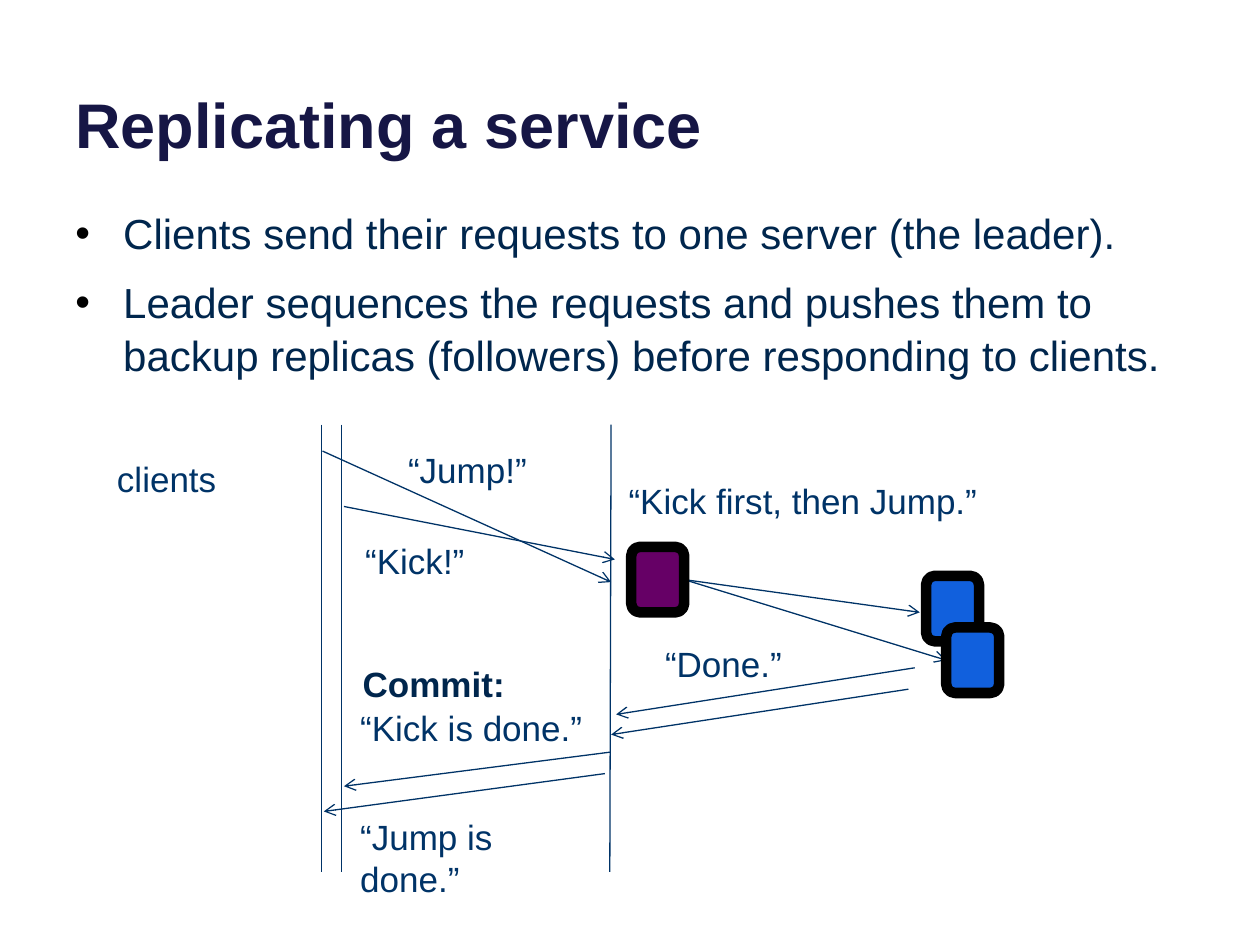
from lxml import etree
from pptx import Presentation
from pptx.dml.color import RGBColor
from pptx.enum.shapes import MSO_CONNECTOR, MSO_SHAPE
from pptx.enum.text import MSO_ANCHOR
from pptx.oxml.ns import qn
from pptx.util import Inches, Pt

FONT = "Arial"
TITLE_INK, BODY_INK, DIAGRAM_INK = "161645", "00264D", "003367"
PURPLE, BLUE, BLACK = "660066", "1160DD", "000000"

TITLE = "Replicating a service"
POINTS = [
    "Clients send their requests to one server (the leader).",
    "Leader sequences the requests and pushes them to backup replicas "
    "(followers) before responding to clients.",
]
LABEL_HEIGHT = 0.44
LABELS = [  # text, left, top, width
    ("clients", 0.83, 3.58, 1.51),
    ("“Jump!”", 3.14, 3.51, 1.34),
    ("“Kick!”", 2.8, 4.23, 1.13),
    ("“Kick first, then Jump.”", 4.89, 3.76, 3.2),
    ("“Done.”", 5.18, 5.05, 1.16),
    ("“Kick is done.”", 2.76, 5.56, 2.11),
    ("“Jump is done.”", 2.76, 6.42, 2.11),
]
COMMIT = ("Commit:", 2.78, 5.21, 1.36)

TIMELINE_TOP, TIMELINE_BOTTOM = 3.37, 6.92
TIMELINES = [(2.55, 2.55), (2.71, 2.71), (4.85, 4.84)]  # x at top, x at bottom
MESSAGES = [
    ((2.56, 3.58), (4.85, 4.62)),  # jump request
    ((2.73, 4.02), (4.88, 4.44)),  # kick request
    ((7.26, 5.3), (4.89, 5.67)),   # followers done
    ((7.21, 5.47), (4.85, 5.83)),
    ((4.84, 5.97), (2.73, 6.24)),  # kick committed
    ((4.8, 6.14), (2.57, 6.44)),   # jump committed
]
PUSHES = [((5.43, 4.6), (7.3, 4.86)), ((5.43, 4.6), (7.51, 5.26))]
SERVER_SIZE = (0.42, 0.52)
SERVERS = [  # left, top, fill: leader, back follower, front follower
    (5.01, 4.34, PURPLE),
    (7.35, 4.57, BLUE),
    (7.51, 4.98, BLUE),
]

prs = Presentation()
prs.slide_width, prs.slide_height = Inches(10), Inches(7.5)
slide = prs.slides.add_slide(prs.slide_layouts[6])
shapes = slide.shapes


def rgb(color):
    return RGBColor.from_string(color)


def add_text(lines, left, top, width, height, size, color, bold=False):
    frame = shapes.add_textbox(*map(Inches, (left, top, width, height))).text_frame
    frame.word_wrap = True
    frame.text = "\n".join(lines)
    for paragraph in frame.paragraphs:
        font = paragraph.font
        font.name, font.size, font.bold = FONT, Pt(size), bold
        font.color.rgb = rgb(color)
    return frame


def add_bullet(paragraph):
    props = paragraph._p.get_or_add_pPr()
    props.set("marL", str(Inches(0.38)))
    props.set("indent", str(-Inches(0.38)))
    bullet_color = etree.SubElement(props, qn("a:buClr"))
    etree.SubElement(bullet_color, qn("a:srgbClr"), val=BLACK)
    etree.SubElement(props, qn("a:buFont"), typeface=FONT)
    etree.SubElement(props, qn("a:buChar"), char="•")


def add_line(start, end, arrow=True):
    line = shapes.add_connector(MSO_CONNECTOR.STRAIGHT, *map(Inches, start + end))
    line.line.color.rgb = rgb(DIAGRAM_INK)
    line.line.width = Pt(0.75)
    if arrow:
        etree.SubElement(line.line._get_or_add_ln(), qn("a:tailEnd"), type="arrow")
    etree.SubElement(line._element.spPr, qn("a:effectLst"))
    return line


def add_server(left, top, fill):
    server = shapes.add_shape(
        MSO_SHAPE.ROUNDED_RECTANGLE, *map(Inches, (left, top) + SERVER_SIZE))
    server.shadow.inherit = False
    server.fill.solid()
    server.fill.fore_color.rgb = rgb(fill)
    server.line.color.rgb = rgb(BLACK)
    server.line.width = Pt(6)
    return server


title = add_text([TITLE], 0.5, -0.37, 9, 1.7, 36, TITLE_INK, bold=True)
title.vertical_anchor = MSO_ANCHOR.BOTTOM

body = add_text([], 0.5, 1.58, 9, 1.25, 24, BODY_INK)
for number, point in enumerate(POINTS):
    paragraph = body.add_paragraph() if number else body.paragraphs[0]
    paragraph.text = point
    paragraph.line_spacing = 1.05
    if number:
        paragraph.space_before = Pt(9)
    add_bullet(paragraph)
    paragraph.font.name, paragraph.font.size = FONT, Pt(24)
    paragraph.font.color.rgb = rgb(BODY_INK)

for top_x, bottom_x in TIMELINES:
    add_line((top_x, TIMELINE_TOP), (bottom_x, TIMELINE_BOTTOM), arrow=False)
for start, end in MESSAGES:
    add_line(start, end)
pushes = [add_line(start, end) for start, end in PUSHES]

leader, back_follower, front_follower = [add_server(*server) for server in SERVERS]
for push in pushes:
    push.begin_connect(leader, 3)
pushes[1].end_connect(front_follower, 1)

for text, *place in LABELS:
    add_text([text], *place, LABEL_HEIGHT, 20, DIAGRAM_INK)
text, *place = COMMIT
add_text([text], *place, LABEL_HEIGHT, 20, BODY_INK, bold=True)

prs.save("out.pptx")
